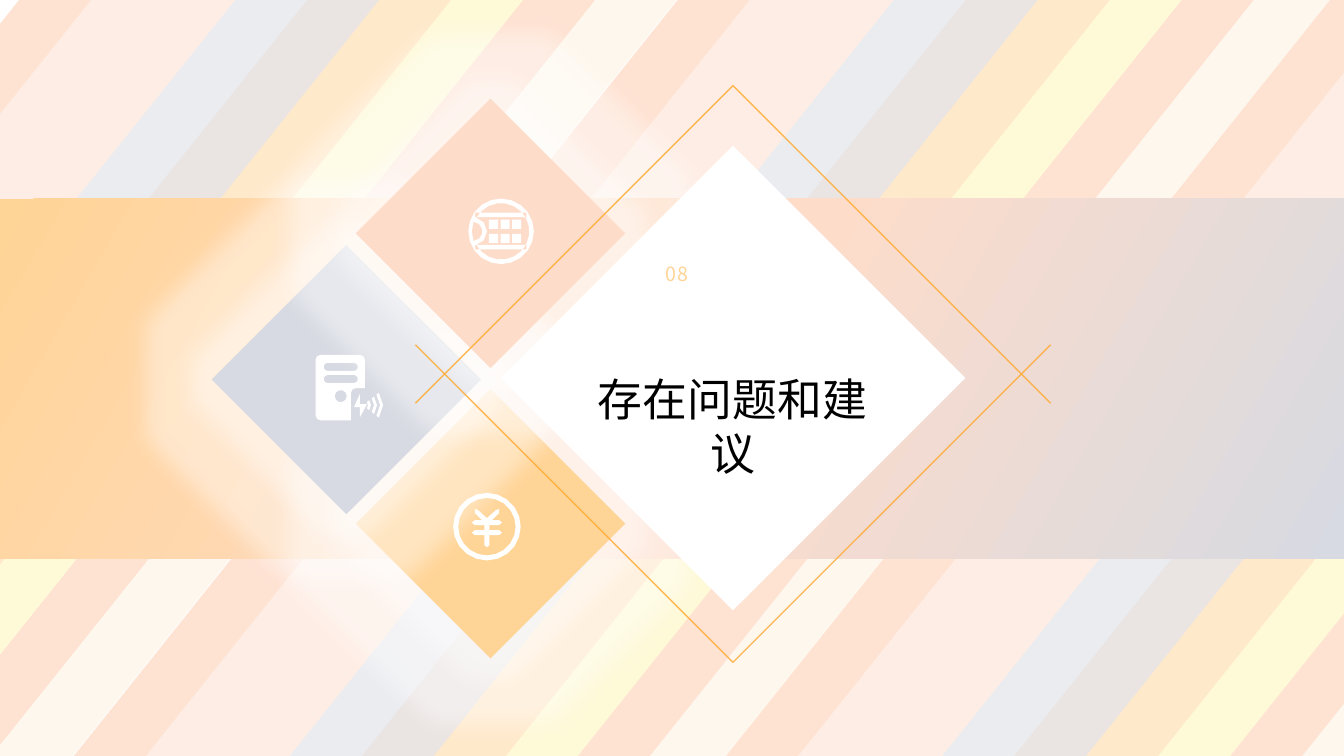
from dataclasses import dataclass
from math import cos, radians, sin

from lxml.etree import SubElement as Sub
from pptx import Presentation
from pptx.dml.color import RGBColor as Rgb
from pptx.enum.shapes import MSO_SHAPE as Kind
from pptx.enum.text import MSO_ANCHOR as Anchor, MSO_AUTO_SIZE as Auto, PP_ALIGN as Align
from pptx.oxml.ns import qn
from pptx.util import Inches, Pt

HUE = {
    "white": "FFFFFF", "black": "000000", "coral": "FDC5A6", "peach": "FEDCCA",
    "blue": "D7DAE2", "taupe": "D6C9C6", "orange": "FFD497", "lemon": "FDF4AF",
    "cream": "FDEFDC", "gold": "FFAA32",
}
WIDE, HIGH = 13.33, 7.5
Dots = list[tuple[float, float]]


@dataclass
class Box:
    left: float
    top: float
    width: float
    height: float
    hue: str
    turn: float = 0
    glow: bool = False


def rgb(hue: str) -> Rgb:
    return Rgb.from_string(HUE[hue])


def fade(fill, part: int) -> None:
    """Set the opacity of a solid fill, in percent."""
    for clr in fill.iter(qn("a:srgbClr")):
        Sub(clr, qn("a:alpha"), val=str(part * 1000))


def draw(deck, box: Box):
    """Draw a plain rectangle, turned and glowing if asked."""
    spot = [Inches(n) for n in (box.left, box.top, box.width, box.height)]
    shape = deck.add_shape(Kind.RECTANGLE, *spot)
    shape.rotation = box.turn
    shape.shadow.inherit = False
    shape.fill.solid()
    shape.fill.fore_color.rgb = rgb(box.hue)
    shape.line.fill.background()
    if box.glow:
        list_ = shape.element.spPr.find(qn("a:effectLst"))
        glow = Sub(list_, qn("a:glow"), rad=str(Inches(0.44)))
        clr = Sub(glow, qn("a:srgbClr"), val=HUE["white"])
        Sub(clr, qn("a:alpha"), val="40000")
    return shape


def blend(shape, stops: list[tuple[int, str]], turn: int) -> None:
    """Swap the solid fill of a shape for a linear gradient."""
    old = shape.element.spPr.find(qn("a:solidFill"))
    grad = old.makeelement(qn("a:gradFill"), {"rotWithShape": "1"})
    old.getparent().replace(old, grad)
    list_ = Sub(grad, qn("a:gsLst"))
    for part, hue in stops:
        stop = Sub(list_, qn("a:gs"), pos=str(part * 1000))
        Sub(stop, qn("a:srgbClr"), val=HUE[hue])
    Sub(grad, qn("a:lin"), ang=str(turn * 60000), scaled="0")


def trace(deck, loops: list[Dots], close: bool = True):
    """Build one outline from several loops; inner loops cut holes."""
    pen = None
    for loop in loops:
        dots = [(Inches(x), Inches(y)) for x, y in loop]
        if pen is None:
            pen = deck.build_freeform(*dots[0], scale=1)
        else:
            pen.move_to(*dots[0])
        pen.add_line_segments(dots[1:], close=close)
    shape = pen.convert_to_shape()
    shape.shadow.inherit = False
    return shape


def arc(x: float, y: float, r: float, start: float, end: float) -> Dots:
    """Points on an arc, denser on a larger radius."""
    step = 18 if r > 0.2 else 36
    count = max(2, round(abs(end - start) / step))
    turns = [radians(start + (end - start) * i / count) for i in range(count + 1)]
    return [(x + r * cos(a), y + r * sin(a)) for a in turns]


def ring(x: float, y: float, r: float) -> Dots:
    return arc(x, y, r, 0, 360)[:-1]


def rect(x: float, y: float, w: float, h: float) -> Dots:
    return [(x, y), (x + w, y), (x + w, y + h), (x, y + h)]


def pill(x: float, y: float, w: float, r: float) -> Dots:
    return arc(x + w - r, y, r, -90, 90) + arc(x + r, y, r, 90, 270)


def wave(x: float, y: float, r: float) -> Dots:
    return arc(x, y, r, -38, 38) + arc(x, y, r - 0.03, 38, -38)


def grid_icon() -> list[Dots]:
    x, y = 4.97, 2.295
    hole = arc(x, y, 0.28, -152, 152) + arc(4.69, y, 0.14, 78, -78)
    lens = arc(4.69, y, 0.095, 84, -84) + arc(x, y, 0.29, 199, 161)
    bars = [rect(4.71, top, 0.51, 0.045) for top in (2.11, 2.43)]
    cells = [rect(4.85 + 0.115 * col, 2.18 + 0.14 * row, 0.09, 0.09)
             for row in range(2) for col in range(3)]
    return [ring(x, y, 0.325), hole, lens, *bars, *cells]


def tower_icon() -> list[Dots]:
    body = ([(3.62, 3.85)] + arc(3.57, 3.57, 0.05, 0, -90)
            + arc(3.18, 3.57, 0.05, -90, -180) + arc(3.18, 4.12, 0.05, 180, 90)
            + [(3.48, 4.17)] + arc(3.53, 3.9, 0.05, 180, 270))
    slots = [pill(3.21, y, 0.34, 0.04) for y in (3.64, 3.76)]
    bolt = [(3.57, 3.91), (3.51, 4.04), (3.57, 4.04),
            (3.57, 4.14), (3.64, 4.01), (3.57, 4.01)]
    waves = [wave(3.6, 4.02, r) for r in (0.08, 0.14, 0.2)]
    return [body, *slots, ring(3.38, 3.93, 0.06), bolt, *waves]


def yuan_icon() -> list[Dots]:
    x, y = 4.83, 5.225
    half = [(0, 5.14), (0.09, 5.06), (0.12, 5.05), (0.12, 5.09), (0.05, 5.16)]
    for top in (5.16, 5.26):
        half += [(0.12, top), (0.15, top + 0.025), (0.12, top + 0.05),
                 (0.025, top + 0.05), (0.025, top + 0.1)]
    half += [(0.025, 5.41), (0, 5.43)]
    sign = [(x + dx, t) for dx, t in half] + [(x - dx, t) for dx, t in half[-2:0:-1]]
    return [ring(x, y, 0.335), ring(x, y, 0.285), sign]


def write(para, text: str, size: int, face: str, hue: str):
    run = para.add_run()
    run.text = text
    run.font.size = Pt(size)
    run.font.name = face
    run.font.color.rgb = rgb(hue)
    Sub(run.font._element, qn("a:ea"), typeface=face)
    return run


def main() -> None:
    prs = Presentation()
    prs.slide_width, prs.slide_height = Inches(WIDE), Inches(HIGH)
    slide = prs.slides.add_slide(prs.slide_layouts[5])
    deck = slide.shapes
    slide.background.fill.solid()
    slide.background.fill.fore_color.rgb = rgb("white")

    # Slanted stripes under a pale veil
    hues = ("coral", "peach", "peach", "blue", "taupe", "orange", "lemon", "coral", "cream")
    for left, top in ((-4.19, -2.45), (3.58, -4), (10.09, -4.05)):
        for i, hue in enumerate(hues):
            draw(deck, Box(left + 0.85 * i, top - 0.17 * i, 0.63, 16.09, hue, 38.6))
    veil = draw(deck, Box(0, 0, WIDE, HIGH, "white"))
    fade(veil.element.spPr.find(qn("a:solidFill")), 50)

    # Middle band
    band = draw(deck, Box(0, 1.97, WIDE, 3.57, "peach"))
    blend(band, [(0, "orange"), (54, "peach"), (100, "blue")], 30)

    # Diamonds
    draw(deck, Box(5.64, 2.12, 3.26, 3.26, "white", 315))
    for left, top, hue in ((3.92, 4.25, "orange"), (2.49, 2.82, "blue"), (3.92, 1.37, "peach")):
        draw(deck, Box(left, top, 1.89, 1.89, hue, 315, True))

    # Section number
    note = deck.add_textbox(Inches(6.5), Inches(2.55), Inches(1.32), Inches(1.1))
    note.text_frame.word_wrap = False
    run = write(note.text_frame.paragraphs[0], "08", 14, "Noto Sans CJK SC", "orange")
    run.font._element.set("spc", "100")

    # Title
    title = deck.title
    title.left, title.top = Inches(5.61), Inches(3.64)
    title.width, title.height = Inches(3.31), Inches(0.64)
    frame = title.text_frame
    frame.word_wrap, frame.auto_size = True, Auto.NONE
    frame.vertical_anchor = Anchor.TOP
    para = frame.paragraphs[0]
    para.alignment = Align.CENTER
    write(para, "存在问题和建议", 32, "Noto Sans CJK JP", "black")
    note.element.addnext(title.element)

    # Gold frame of two chevrons
    for side, tip in ((3.42, 6.57), (4, 0.85)):
        edge = trace(deck, [[(4.12, side), (7.27, tip), (10.42, side)]], False)
        edge.fill.background()
        edge.line.color.rgb = rgb("gold")
        edge.line.width = Pt(1)
        fade(edge.element.spPr.find(qn("a:ln")), 82)

    # Icons
    for loops in (grid_icon(), tower_icon(), yuan_icon()):
        icon = trace(deck, loops)
        icon.fill.solid()
        icon.fill.fore_color.rgb = rgb("white")
        icon.line.fill.background()

    prs.save("out.pptx")


if __name__ == "__main__":
    main()
